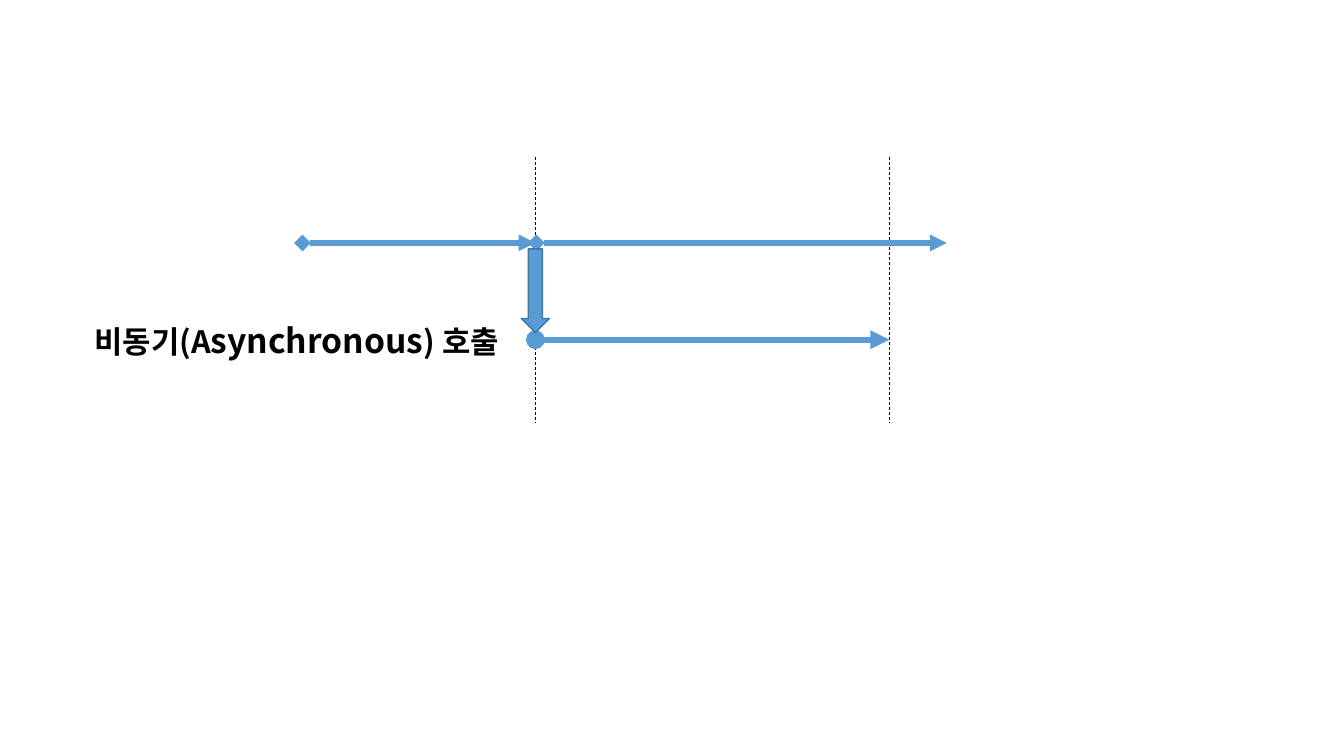
import pptx
import pptx.util
import pptx.dml.color
import pptx.enum.dml
import pptx.enum.shapes
import pptx.enum.text
import pptx.oxml
import pptx.oxml.ns
from pptx.util import Inches

COLORS = {"text": "000000", "guide": "000000", "flow": "5B9BD5", "outline": "43739E"}
FONT = "Noto Sans CJK KR"


def color(name):
    """Return the named colour."""
    return pptx.dml.color.RGBColor.from_string(COLORS[name])


def add_element(parent, tag, **attributes):
    """Append a DrawingML element to a parent."""
    element = pptx.oxml.parse_xml(f"<a:{tag} {pptx.oxml.ns.nsdecls('a')}/>")
    for key, value in attributes.items():
        element.set(key, value)
    parent.append(element)


def add_line(slide, start, end, color_name, width, dash=None, ends=()):
    """Draw a straight line with an optional dash and (head, tail) ends."""
    points = [Inches(value) for value in (*start, *end)]
    connector = slide.shapes.add_connector(
        pptx.enum.shapes.MSO_CONNECTOR.STRAIGHT, *points)
    connector.line.color.rgb = color(color_name)
    formats = {"width": pptx.util.Pt(width), "dash_style": dash}
    for key, value in formats.items():
        setattr(connector.line, key, value)
    for tag, kind in zip(("headEnd", "tailEnd"), ends):
        add_element(connector.line._get_or_add_ln(), tag, type=kind)
    add_element(connector._element.spPr, "effectLst")


def add_caption(slide, left, top, width, height):
    """Write the bold caption, whose Latin word is slightly larger."""
    box = slide.shapes.add_textbox(*map(Inches, (left, top, width, height)))
    box.text_frame.word_wrap = True
    box.text_frame.auto_size = pptx.enum.text.MSO_AUTO_SIZE.SHAPE_TO_FIT_TEXT
    paragraph = box.text_frame.paragraphs[0]
    for text, size in (("비동기(A", 22), ("synchronous", 24), (") 호출", 22)):
        run = paragraph.add_run()
        run.text = text
        formats = {"name": FONT, "size": pptx.util.Pt(size), "bold": True}
        for key, value in formats.items():
            setattr(run.font, key, value)
        run.font.color.rgb = color("text")
        add_element(run._r.get_or_add_rPr(), "ea", typeface=FONT)


def add_call_arrow(slide, left, top, width, height):
    """Draw the block arrow from the caller down to the called task."""
    shape = slide.shapes.add_shape(
        pptx.enum.shapes.MSO_SHAPE.DOWN_ARROW,
        *map(Inches, (left, top, width, height)))
    shape.shadow.inherit = False
    shape.fill.solid()
    shape.fill.fore_color.rgb = color("flow")
    shape.line.color.rgb = color("outline")
    shape.line.width = pptx.util.Pt(1)


def add_timeline(slide, left, top, width, height):
    """Draw the caller and the called task between two time guides."""
    call, finish = left + 2.31, left + 5.82
    caller, task = top + 0.85, top + 1.81
    for x in (call, finish):
        add_line(slide, (x, top), (x, top + height), "guide", 0.5,
                 dash=pptx.enum.dml.MSO_LINE.DASH)
    add_caption(slide, call - 4.47, task - 0.25, 4.48, 0.5)
    flows = (
        (left, call, caller, 4, "diamond"),
        (call + 0.01, left + width, caller, 4, "diamond"),
        (call, finish, task, 4.5, "oval"),
    )
    for start, end, y, weight, head in flows:
        add_line(slide, (start, y), (end, y), "flow", weight,
                 ends=(head, "triangle"))
    add_call_arrow(slide, call - 0.14, caller + 0.06, 0.28, 0.83)


def main():
    """Build and save the slide."""
    presentation = pptx.Presentation()
    presentation.slide_width = Inches(13.33)
    presentation.slide_height = Inches(7.5)
    slide = presentation.slides.add_slide(presentation.slide_layouts[6])
    add_timeline(slide, 3, 1.56, 6.39, 2.63)
    presentation.save("out.pptx")


main()
